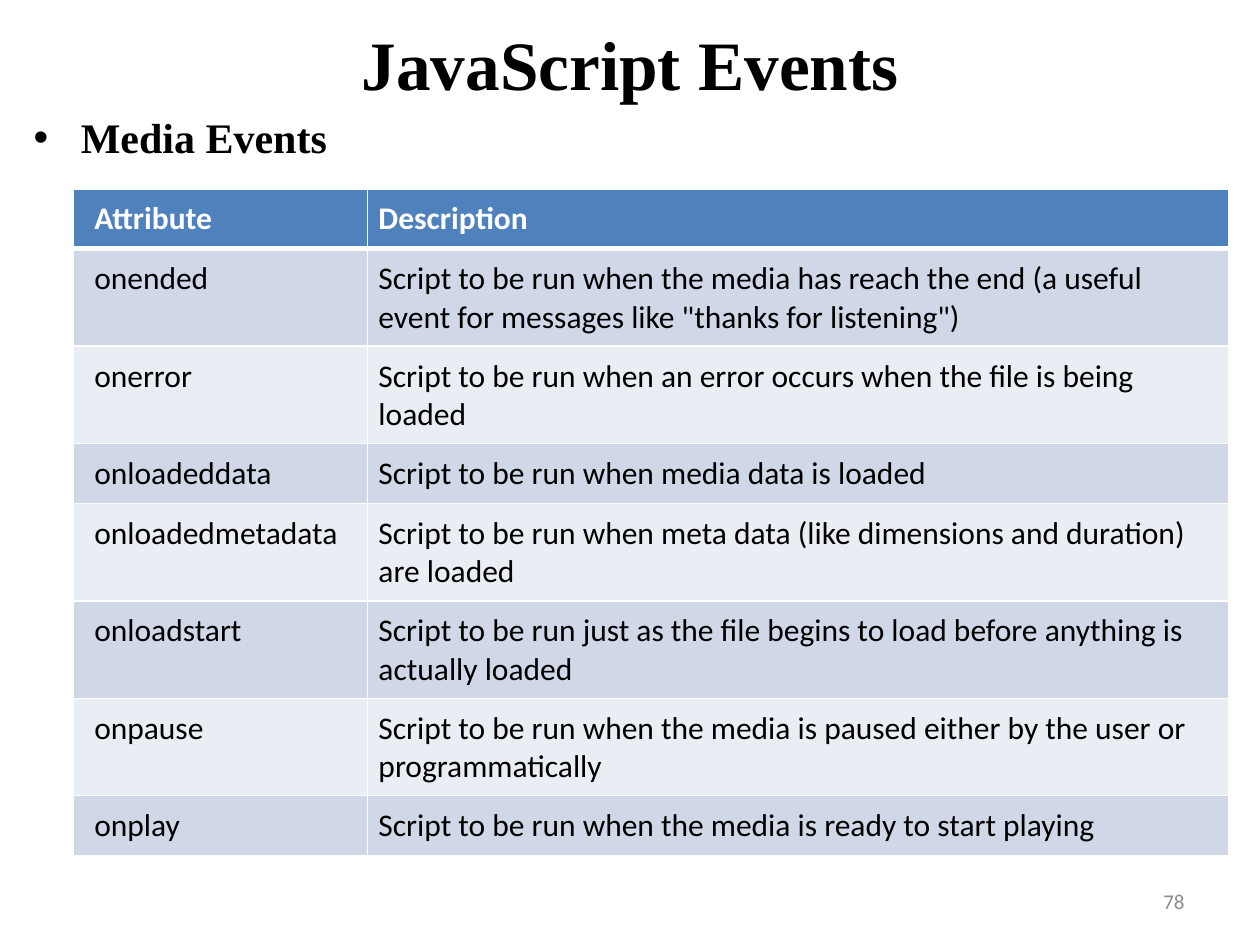
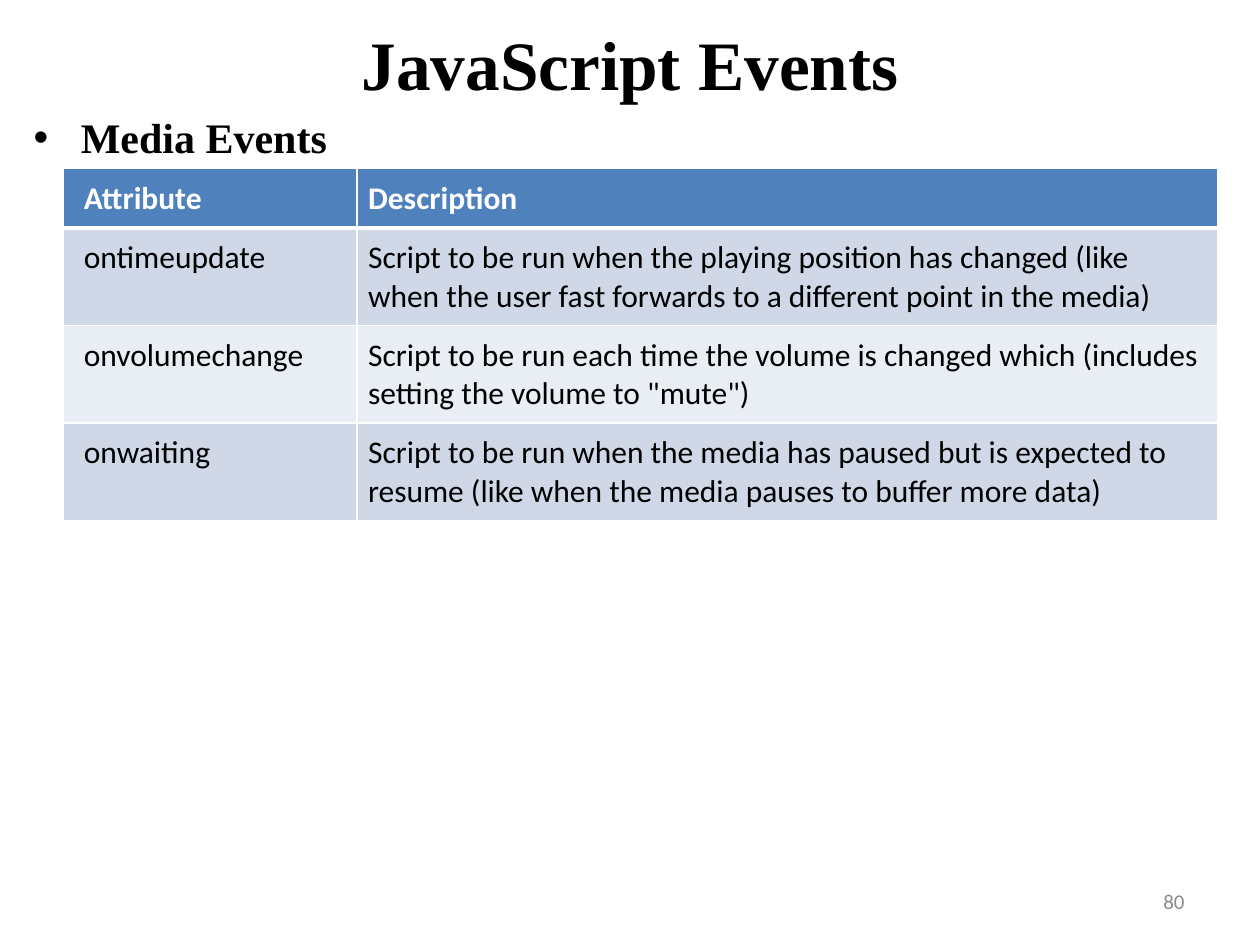
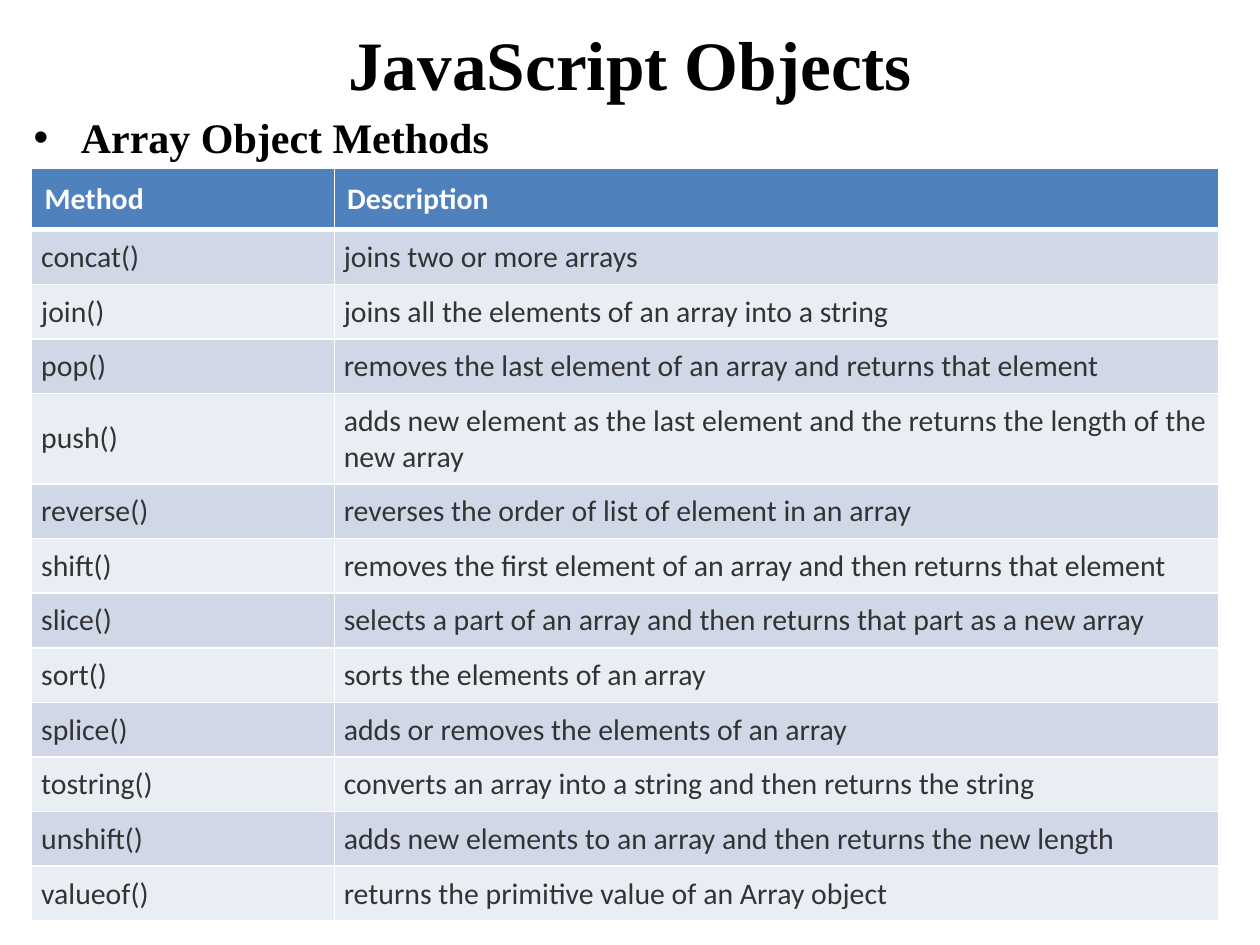
from dataclasses import dataclass

from lxml import etree
from pptx import Presentation
from pptx import util as u
from pptx.dml.color import RGBColor
from pptx.enum import text
from pptx.oxml import ns


# Theme: colours, fonts and type sizes
@dataclass(frozen=True)
class Theme:
    heading_font: str = "Times New Roman"
    body_font: str = "Calibri"
    black: str = "000000"
    white: str = "FFFFFF"
    dark_grey: str = "333333"
    number_grey: str = "8C8C8C"
    header_fill: str = "4F81BD"
    band_fills: tuple = ("D0D8E8", "E9EDF4")
    title_size: float = 39.6
    topic_size: float = 24
    number_size: float = 12
    border: float = 1
    header_border: float = 3


THEME = Theme()


# What differs between the two kinds of table (lengths in cm)
@dataclass(frozen=True)
class TableLook:
    columns: tuple
    size: float
    ink: str
    anchor: object
    header_inset: float
    body_inset: float
    first_left: float = 0  # extra left inset in the first column


EVENT_LOOK = TableLook((5.93, 17.35), 18, THEME.black, text.MSO_ANCHOR.TOP,
                       0.22, 0.22, 0.2)
METHOD_LOOK = TableLook((6.1, 17.82), 17, THEME.dark_grey,
                        text.MSO_ANCHOR.MIDDLE, 0.26, 0.19)
ROW_HEIGHT = 1.04

# Content
EVENT_HEADER = ("Attribute", "Description")
PLAYBACK_EVENTS = [
    EVENT_HEADER,
    ("onended", "Script to be run when the media has reach the end (a useful "
     'event for messages like "thanks for listening")'),
    ("onerror", "Script to be run when an error occurs when the file is being loaded"),
    ("onloadeddata", "Script to be run when media data is loaded"),
    ("onloadedmetadata", "Script to be run when meta data (like dimensions and "
     "duration) are loaded"),
    ("onloadstart", "Script to be run just as the file begins to load before "
     "anything is actually loaded"),
    ("onpause", "Script to be run when the media is paused either by the user "
     "or programmatically"),
    ("onplay", "Script to be run when the media is ready to start playing"),
]
UPDATE_EVENTS = [
    EVENT_HEADER,
    ("ontimeupdate", "Script to be run when the playing position has changed "
     "(like when the user fast forwards to a different point in the media)"),
    ("onvolumechange", "Script to be run each time the volume is changed which "
     '(includes setting the volume to "mute")'),
    ("onwaiting", "Script to be run when the media has paused but is expected "
     "to resume (like when the media pauses to buffer more data)"),
]
ARRAY_METHODS = [
    ("Method", "Description"),
    ("concat()", "joins two or more arrays"),
    ("join()", "joins all the elements of an array into a string"),
    ("pop()", "removes the last element of an array and returns that element"),
    ("push()", "adds new element as the last element and the returns the "
     "length of the new array"),
    ("reverse()", "reverses the order of list of element in an array"),
    ("shift()", "removes the first element of an array and then returns that element"),
    ("slice()", "selects a part of an array and then returns that part as a new array"),
    ("sort()", "sorts the elements of an array"),
    ("splice()", "adds or removes the elements of an array"),
    ("tostring()", "converts an array into a string and then returns the string"),
    ("unshift()", "adds new elements to an array and then returns the new length"),
    ("valueof()", "returns the primitive value of an Array object"),
]


# Helpers
def apply(target, **values):
    for name, value in values.items():
        setattr(target, name, value)


def place(shape, left, top, width, height):
    apply(shape, left=u.Cm(left), top=u.Cm(top),
          width=u.Cm(width), height=u.Cm(height))


def write(frame, words, size, color, font, bold=False,
          align=text.PP_ALIGN.LEFT):
    para = frame.paragraphs[0]
    para.alignment = align
    span = para.add_run()
    span.text = words
    apply(span.font, size=u.Pt(size), name=font, bold=bold)
    span.font.color.rgb = RGBColor.from_string(color)
    return para


def add_box(page, *place_values, **frame_values):
    frame = page.shapes.add_textbox(*map(u.Cm, place_values)).text_frame
    apply(frame, word_wrap=True, **frame_values)
    return frame


# Title, bulleted topic and page number
def add_title(page, words):
    title = page.shapes.title
    place(title, 0.64, 0.42, 24.13, 1.7)
    apply(title.text_frame, auto_size=text.MSO_AUTO_SIZE.NONE,
          vertical_anchor=text.MSO_ANCHOR.MIDDLE)
    write(title.text_frame, words, THEME.title_size, THEME.black,
          THEME.heading_font, True, text.PP_ALIGN.CENTER)


def add_topic(page, words, align):
    frame = add_box(page, 0.43, 2.12, 24.55, 16.3)
    para = write(frame, words, THEME.topic_size, THEME.black,
                 THEME.heading_font, True, align)
    props = para._p.get_or_add_pPr()
    indent = u.Cm(0.95)
    props.set("marL", str(indent))
    props.set("indent", str(-indent))
    etree.SubElement(props, ns.qn("a:buFont"), typeface="Arial")
    etree.SubElement(props, ns.qn("a:buChar"), char="•")


def add_page_number(page, number):
    frame = add_box(page, 18.2, 17.66, 5.93, 1.01,
                    vertical_anchor=text.MSO_ANCHOR.MIDDLE)
    write(frame, str(number), THEME.number_size, THEME.number_grey,
          THEME.body_font, align=text.PP_ALIGN.RIGHT)


# Table
def set_borders(cell, top, bottom):
    widths = {"L": THEME.border, "R": THEME.border, "T": top, "B": bottom}
    props = cell._tc.get_or_add_tcPr()
    for side, width in widths.items():
        line = etree.SubElement(props, ns.qn(f"a:ln{side}"), w=str(u.Pt(width)))
        fill = etree.SubElement(line, ns.qn("a:solidFill"))
        etree.SubElement(fill, ns.qn("a:srgbClr"), val=THEME.white)


def format_cell(cell, words, row, column, look):
    header = row == 0
    inset = look.header_inset if header else look.body_inset
    left = inset + (look.first_left if column == 0 else 0)
    apply(cell, margin_left=u.Cm(left), margin_top=u.Cm(inset),
          margin_right=u.Cm(inset), margin_bottom=u.Cm(inset),
          vertical_anchor=look.anchor)
    set_borders(cell, THEME.header_border if row == 1 else THEME.border,
                THEME.header_border if header else THEME.border)
    cell.fill.solid()
    cell.fill.fore_color.rgb = RGBColor.from_string(
        THEME.header_fill if header else THEME.band_fills[(row - 1) % 2])
    write(cell.text_frame, words, look.size,
          THEME.white if header else look.ink, THEME.body_font, header)


def add_grid(page, rows, look, left, top, height):
    width = sum(look.columns)
    frame = page.shapes.add_table(len(rows), len(look.columns), u.Cm(left),
                                  u.Cm(top), u.Cm(width), u.Cm(height))
    table = frame.table
    for column, column_width in zip(table.columns, look.columns):
        column.width = u.Cm(column_width)
    for row in table.rows:
        row.height = u.Cm(ROW_HEIGHT)
    for i, row in enumerate(rows):
        for j, words in enumerate(row):
            format_cell(table.cell(i, j), words, i, j, look)
    place(frame, left, top, width, height)


# One page
def add_page(deck, title, topic, rows, look, spot, number=None,
             align=text.PP_ALIGN.LEFT):
    page = deck.slides.add_slide(deck.slide_layouts[5])
    add_title(page, title)
    add_topic(page, topic, align)
    if number:
        add_page_number(page, number)
    add_grid(page, rows, look, *spot)


def main():
    deck = Presentation()
    apply(deck, slide_width=u.Cm(25.4), slide_height=u.Cm(19.05))
    add_page(deck, "JavaScript Events", "Media Events", PLAYBACK_EVENTS,
             EVENT_LOOK, (1.48, 3.81, 13.28), 78)
    add_page(deck, "JavaScript Events", "Media Events", UPDATE_EVENTS,
             EVENT_LOOK, (1.27, 3.39, 7.04), 80)
    add_page(deck, "JavaScript Objects", "Array Object Methods", ARRAY_METHODS,
             METHOD_LOOK, (0.64, 3.39, 15.04), align=text.PP_ALIGN.JUSTIFY)
    deck.save("out.pptx")


if __name__ == "__main__":
    main()
